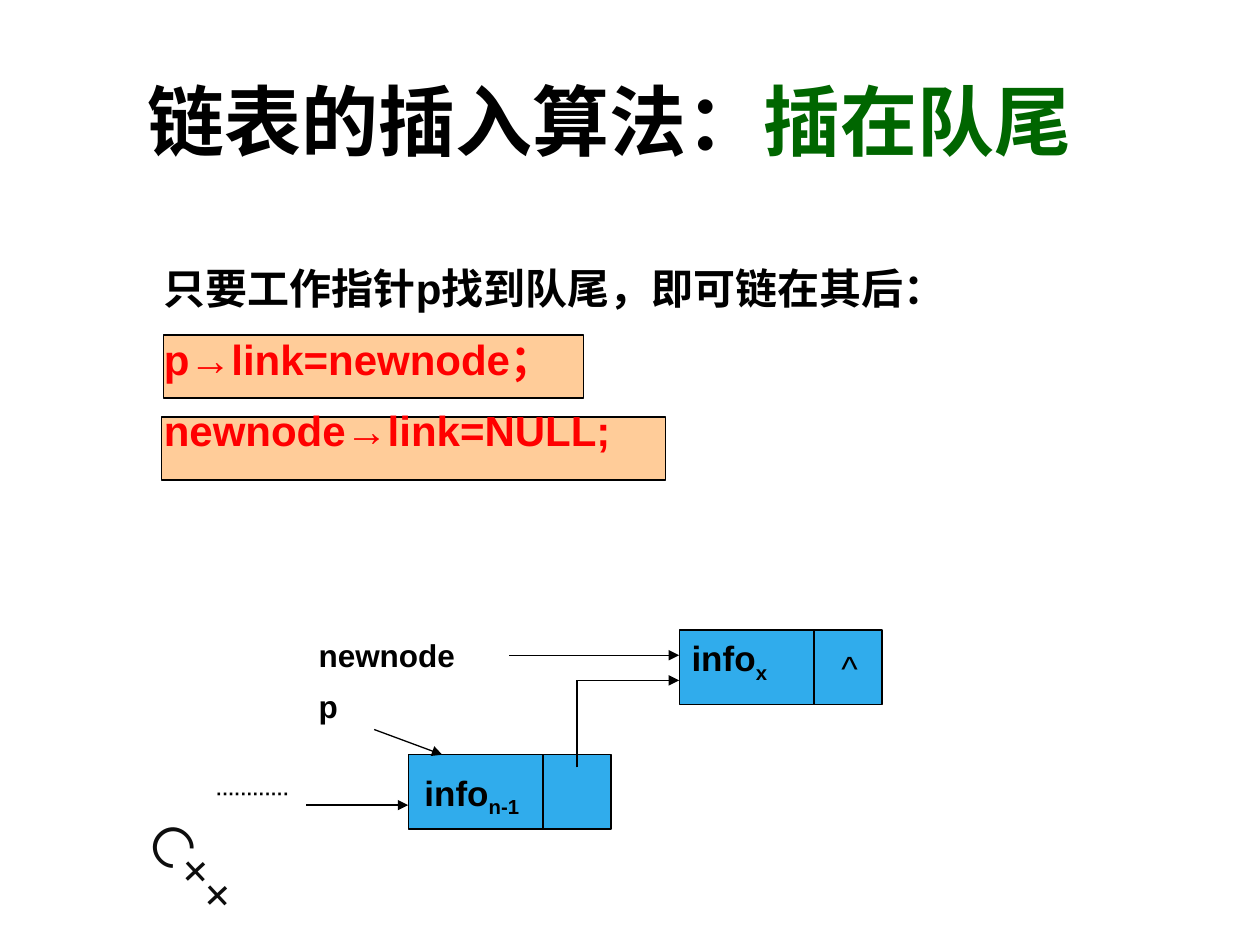
from dataclasses import dataclass

from lxml import etree
from pptx import Presentation
from pptx import util as u
from pptx.dml.color import RGBColor
from pptx.enum import shapes, text
from pptx.oxml.ns import qn


@dataclass(frozen=True)
class Theme:
    font: str = "Arial"
    mark_font: str = "Montserrat"
    black: str = "000000"
    mark: str = "0D0D0D"
    green: str = "006600"
    red: str = "FF0000"
    code_fill: str = "FFCC99"
    node_fill: str = "30ACEC"
    title_size: float = 44
    mark_size: float = 32
    body_size: float = 24
    info_size: float = 20
    label_size: float = 18
    line_width: float = 0.75


@dataclass(frozen=True)
class Box:
    left: float
    top: float
    width: float
    height: float

    def lengths(self):
        return [u.Inches(v) for v in (self.left, self.top, self.width, self.height)]


@dataclass(frozen=True)
class Label:
    box: Box
    words: str
    size: float
    subscript: str = ""
    bold: bool = True
    font: str = Theme.font
    color: str = Theme.black
    rotation: float = 0


@dataclass(frozen=True)
class Line:
    start: tuple[float, float]
    end: tuple[float, float]
    arrow: bool = True


THEME = Theme()
NODE_WIDTH, NODE_HEIGHT, INFO_WIDTH = 1.61, 0.59, 1.07

CODE_BOXES = [Box(1.28, 3.31, 4, 0.5), Box(1.3, 2.66, 3.33, 0.5)]
NODES = [(3.24, 5.99), (5.39, 5)]
LINES = [
    Line((2.43, 6.39), (3.24, 6.39)),
    Line((4.58, 6.09), (4.58, 5.4), arrow=False),
    Line((4.58, 5.4), (5.39, 5.4)),
    Line((4.04, 5.2), (5.39, 5.2)),
    Line((2.97, 5.79), (3.51, 5.99)),
]
LABELS = [
    Label(Box(0.94, 6.78, 1.61, 0.64), "C++", THEME.mark_size, bold=False,
          font=THEME.mark_font, color=THEME.mark, rotation=46.9),
    Label(Box(5.39, 5, 1.07, 0.59), "info", THEME.info_size, "x"),
    Label(Box(3.27, 6.07, 1.18, 0.43), "info", THEME.info_size, "n-1"),
    Label(Box(6.58, 5.08, 0.83, 0.43), "^", THEME.info_size, bold=False),
    Label(Box(2.43, 5, 1.88, 0.59), "newnode", THEME.label_size),
    Label(Box(2.43, 5.4, 0.81, 0.59), "p", THEME.label_size),
    Label(Box(1.62, 5.99, 1.07, 0.59), "", THEME.label_size, "············"),
]
BODY = [
    ("只要工作指针p找到队尾，即可链在其后：", THEME.black),
    ("p→link=newnode；", THEME.red),
    ("newnode→link=NULL;", THEME.red),
]


def style(font, size: float, color: str, bold: bool = True, name: str = THEME.font) -> None:
    font.name, font.size, font.bold = name, u.Pt(size), bold
    font.color.rgb = RGBColor.from_string(color)


def place(shape, box: Box) -> None:
    shape.left, shape.top, shape.width, shape.height = box.lengths()


def add_box(slide, box: Box, fill: str) -> None:
    shape = slide.shapes.add_shape(shapes.MSO_SHAPE.RECTANGLE, *box.lengths())
    shape.shadow.inherit = False
    shape.fill.solid()
    shape.fill.fore_color.rgb = RGBColor.from_string(fill)
    shape.line.color.rgb = RGBColor.from_string(THEME.black)
    shape.line.width = u.Pt(THEME.line_width)


def add_line(slide, line: Line) -> None:
    ends = [u.Inches(v) for v in (*line.start, *line.end)]
    connector = slide.shapes.add_connector(shapes.MSO_CONNECTOR.STRAIGHT, *ends)
    connector.line.color.rgb = RGBColor.from_string(THEME.black)
    connector.line.width = u.Pt(THEME.line_width)
    if line.arrow:
        etree.SubElement(connector.line._get_or_add_ln(), qn("a:tailEnd"), type="triangle")
    etree.SubElement(connector.element.spPr, qn("a:effectLst"))


def add_node(slide, left: float, top: float) -> None:
    add_box(slide, Box(left, top, NODE_WIDTH, NODE_HEIGHT), THEME.node_fill)
    divider = left + INFO_WIDTH
    add_line(slide, Line((divider, top), (divider, top + NODE_HEIGHT), arrow=False))


def add_label(slide, label: Label) -> None:
    shape = slide.shapes.add_textbox(*label.box.lengths())
    shape.rotation = label.rotation
    shape.text_frame.word_wrap = True
    paragraph = shape.text_frame.paragraphs[0]
    for words, lowered in ((label.words, False), (label.subscript, True)):
        if words:
            run = paragraph.add_run()
            run.text = words
            style(run.font, label.size, label.color, label.bold, label.font)
            if lowered:
                run.font._element.set("baseline", "-25000")


def fill_title(title) -> None:
    place(title, Box(1.07, 0.29, 8.43, 1.32))
    title.text_frame.vertical_anchor = text.MSO_ANCHOR.MIDDLE
    paragraph = title.text_frame.paragraphs[0]
    paragraph.alignment = text.PP_ALIGN.LEFT
    for words, color in (("链表的插入算法：", THEME.black), ("插在队尾", THEME.green)):
        run = paragraph.add_run()
        run.text = words
        style(run.font, THEME.title_size, color)


def fill_body(body) -> None:
    place(body, Box(1.2, 2.03, 7.75, 1.72))
    frame = body.text_frame
    frame.auto_size = text.MSO_AUTO_SIZE.NONE
    frame.text = "\n".join(words for words, _ in BODY)
    for index, (paragraph, (_, color)) in enumerate(zip(frame.paragraphs, BODY)):
        paragraph.alignment = text.PP_ALIGN.JUSTIFY
        paragraph.space_before = u.Pt(THEME.body_size / 2 if index else 0)
        properties = paragraph._p.get_or_add_pPr()
        properties.set("marL", "0")
        properties.set("indent", "0")
        etree.SubElement(properties, qn("a:buNone"))
        style(paragraph.runs[0].font, THEME.body_size, color)


def main() -> None:
    presentation = Presentation()
    presentation.slide_width, presentation.slide_height = u.Inches(10), u.Inches(7.5)
    slide = presentation.slides.add_slide(presentation.slide_layouts[1])
    title, body = slide.placeholders

    # Title and code lines, with the code boxes behind the text
    fill_title(title)
    for box in CODE_BOXES:
        add_box(slide, box, THEME.code_fill)
    fill_body(body)
    body.element.getparent().append(body.element)

    # Linked list diagram
    for left, top in NODES:
        add_node(slide, left, top)
    for line in LINES:
        add_line(slide, line)
    for label in LABELS:
        add_label(slide, label)

    presentation.save("out.pptx")


if __name__ == "__main__":
    main()
